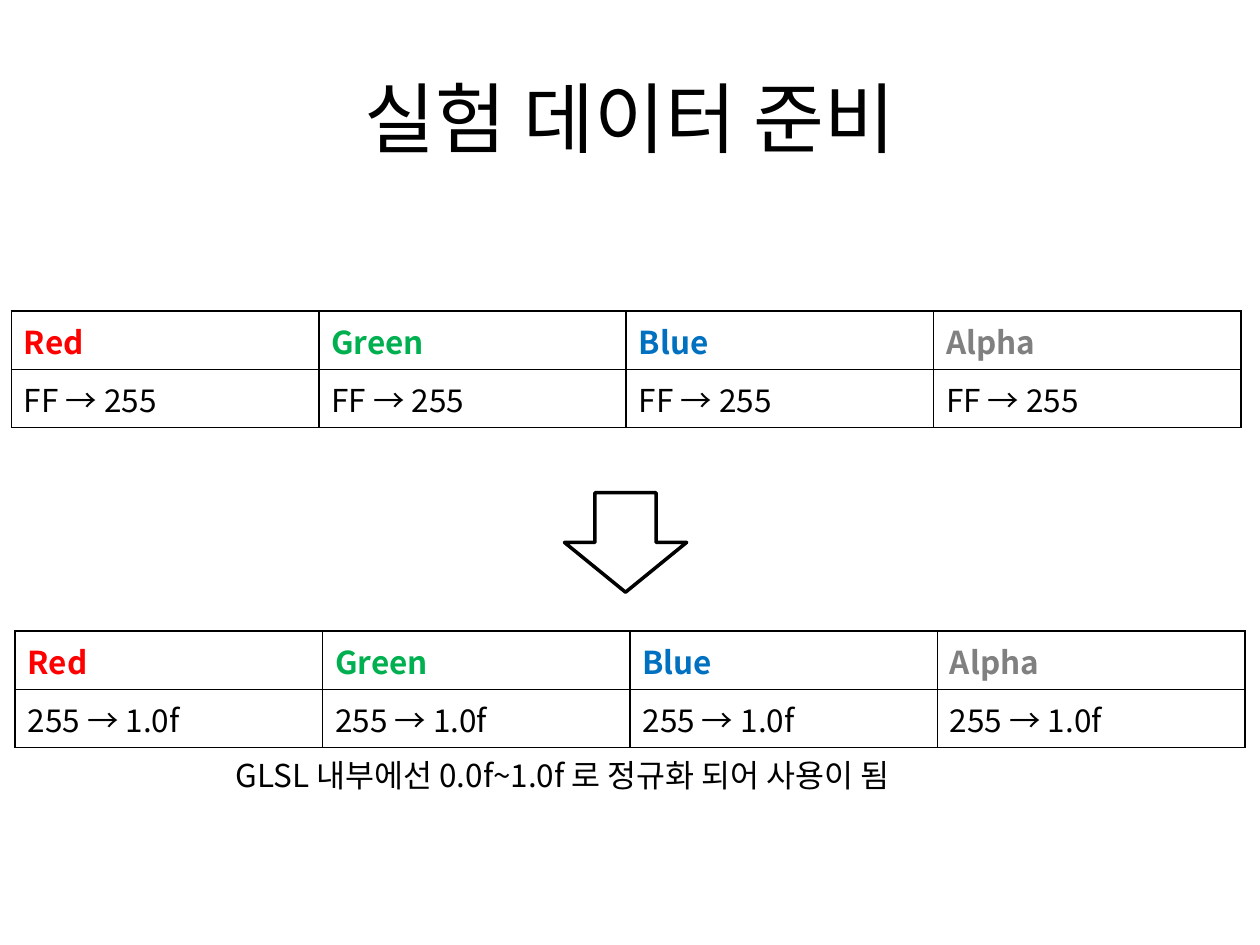
import pptx
import pptx.dml.color
import pptx.enum.shapes
import pptx.enum.text
import pptx.oxml
import pptx.oxml.ns
import pptx.util
from lxml import etree

Inches = pptx.util.Inches
Pt = pptx.util.Pt
RGB = pptx.dml.color.RGBColor.from_string
qn = pptx.oxml.ns.qn

FONT = "Noto Sans CJK KR"
COLORS = {
    "black": "000000",
    "white": "FFFFFF",
    "red": "FF0000",
    "green": "00B050",
    "blue": "0070C0",
    "gray": "808080",
}
CHANNELS = [("Red ", "red"), ("Green", "green"), ("Blue", "blue"), ("Alpha", "gray")]


def write_text(text_frame, text, size, color="black", bold=False):
    paragraph = text_frame.paragraphs[0]
    paragraph.text = text
    font = paragraph.font
    font.size = Pt(size)
    font.bold = bold
    font.color.rgb = RGB(COLORS[color])
    font.name = FONT
    properties = paragraph._p.pPr.find(qn("a:defRPr"))
    etree.SubElement(properties, qn("a:ea")).set("typeface", FONT)
    return paragraph


def add_borders(cell):
    properties = cell._tc.get_or_add_tcPr()
    for position, side in enumerate(("lnL", "lnR", "lnT", "lnB")):
        border = pptx.oxml.parse_xml(
            f'<a:{side} xmlns:a="http://schemas.openxmlformats.org/drawingml/2006/main" '
            f'w="{Pt(1)}"><a:solidFill><a:srgbClr val="{COLORS["black"]}"/>'
            f'</a:solidFill></a:{side}>'
        )
        properties.insert(position, border)


presentation = pptx.Presentation()
presentation.slide_width = Inches(10)
presentation.slide_height = Inches(7.5)
slide = presentation.slides.add_slide(presentation.slide_layouts[5])

# Title
title = slide.shapes.title
title.left, title.top = Inches(0.5), Inches(0.3)
title.width, title.height = Inches(9), Inches(1.25)
title.text_frame.vertical_anchor = pptx.enum.text.MSO_ANCHOR.MIDDLE
heading = write_text(title.text_frame, "실험 데이터 준비", 44)
heading.alignment = pptx.enum.text.PP_ALIGN.CENTER

# Channel tables: hexadecimal to integer, then integer to float
for left, top, conversion in ((0.09, 2.47, "FF → 255"), (0.12, 5.01, "255 → 1.0f")):
    table = slide.shapes.add_table(
        2, len(CHANNELS), Inches(left), Inches(top), Inches(9.76), Inches(0.82)
    ).table
    table.first_row = False
    table.horz_banding = False
    for column, (channel, color) in enumerate(CHANNELS):
        write_text(table.cell(0, column).text_frame, channel, 18, color, bold=True)
        write_text(table.cell(1, column).text_frame, conversion, 18)
    for cell in table.iter_cells():
        cell.fill.background()
        add_borders(cell)

# Arrow between the tables
arrow = slide.shapes.add_shape(
    pptx.enum.shapes.MSO_SHAPE.DOWN_ARROW,
    Inches(4.48), Inches(3.91), Inches(0.97), Inches(0.79),
)
arrow.shadow.inherit = False
arrow.fill.solid()
arrow.fill.fore_color.rgb = RGB(COLORS["white"])
arrow.line.color.rgb = RGB(COLORS["black"])
arrow.line.width = Pt(2)

# Note on normalization
note = slide.shapes.add_textbox(Inches(1.77), Inches(5.95), Inches(6.61), Inches(0.4))
note.text_frame.word_wrap = True
note.text_frame.auto_size = pptx.enum.text.MSO_AUTO_SIZE.SHAPE_TO_FIT_TEXT
write_text(note.text_frame, "GLSL 내부에선 0.0f~1.0f 로 정규화 되어 사용이 됨", 18)

presentation.save("out.pptx")
